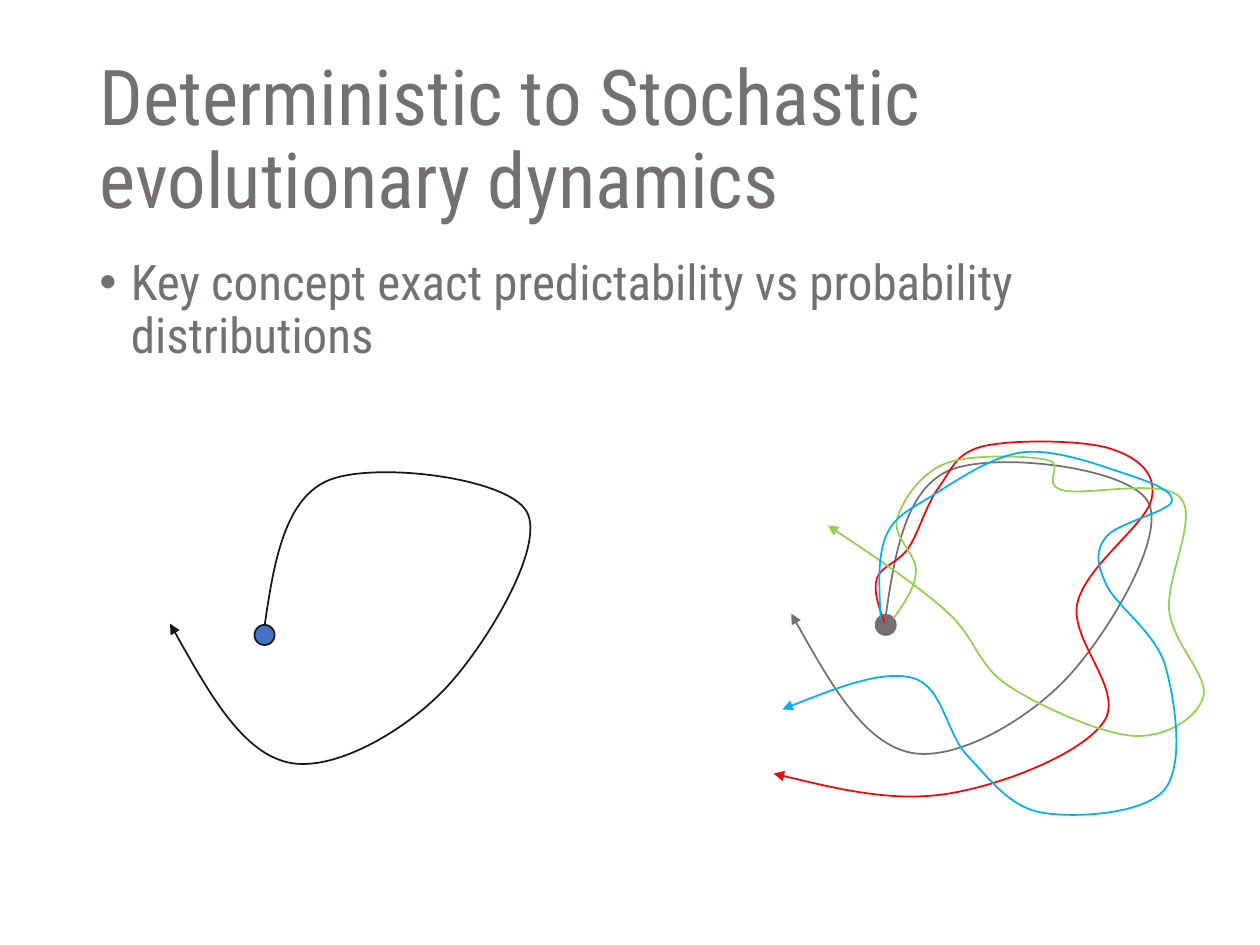
import dataclasses

import lxml.etree
import pptx
import pptx.dml.color
import pptx.enum.shapes
import pptx.enum.text
import pptx.oxml.ns
import pptx.util


@dataclasses.dataclass(frozen=True)
class Theme:
    """Colours, font and sizes of the slide."""
    font: str = "Roboto Condensed"
    grey: str = "757070"
    ink: str = "181717"
    blue: str = "4472C4"
    red: str = "FF0000"
    green: str = "92D050"
    sky: str = "00B0F0"
    title_size: int = 44
    body_size: int = 28
    line_width: int = 1


THEME = Theme()
STEP = pptx.util.Inches(0.01)
DOT_CENTRE = (110, 164)
DOT_SIZE = 16
MAIN_LOOP = [(109, 164), (159, 42), (318, 66), (253, 207), (128, 265), (35, 155)]
RANDOM_PATHS = {
    THEME.red: [(109, 162), (103, 127), (128, 103), (152, 55), (188, 22), (288, 24),
                (321, 64), (262, 147), (283, 241), (159, 298), (21, 282)],
    THEME.green: [(116, 159), (134, 121), (119, 80), (157, 36), (238, 33), (250, 57), (344, 63),
                  (335, 153), (362, 221), (307, 252), (207, 212), (158, 153), (64, 85)],
    THEME.sky: [(106, 159), (110, 94), (146, 62), (219, 27), (300, 44), (337, 66), (285, 94),
                (285, 132), (332, 197), (331, 295), (234, 313), (175, 268), (131, 206), (28, 231)],
}


def rgb(code):
    """Turn a hex code into a colour."""
    return pptx.dml.color.RGBColor.from_string(code)


def add_element(parent, name, **attributes):
    """Append a drawing element with its attributes."""
    values = {key: str(value) for key, value in attributes.items()}
    return lxml.etree.SubElement(parent, pptx.oxml.ns.qn(name), values)


def write_text(shape, text, size):
    """Write one left-aligned run in a wrapped frame and return its paragraph."""
    frame = shape.text_frame
    frame.word_wrap = True
    frame.auto_size = pptx.enum.text.MSO_AUTO_SIZE.NONE
    para = frame.paragraphs[0]
    para.alignment = pptx.enum.text.PP_ALIGN.LEFT
    para.line_spacing = 0.9
    span = para.add_run()
    span.text = text
    span.font.name = THEME.font
    span.font.size = pptx.util.Pt(size)
    span.font.color.rgb = rgb(THEME.grey)
    return para


def place_title(page, box, text):
    """Place the title placeholder in its box."""
    title = page.shapes.title
    title.left, title.top, title.width, title.height = box
    title.text_frame.vertical_anchor = pptx.enum.text.MSO_ANCHOR.MIDDLE
    write_text(title, text, THEME.title_size)


def place_bullet(page, box, text):
    """Place a bulleted statement with a hanging indent."""
    para = write_text(page.shapes.add_textbox(*box), text, THEME.body_size)
    indent = pptx.util.Inches(0.25)
    properties = para._p.get_or_add_pPr()
    properties.set("marL", str(indent))
    properties.set("indent", str(-indent))
    add_element(properties, "a:buFont", typeface="Arial")
    add_element(properties, "a:buChar", char="•")


def spline_handles(points):
    """Return the two control points of every segment of a smooth spline."""
    ends = list(zip(points, points[2:]))
    slopes = [tuple((after - before) / 6 for before, after in zip(*pair)) for pair in ends]
    leaving = [tuple(a + s for a, s in zip(p, slope)) for p, slope in zip(points[1:], slopes)]
    arriving = [tuple(a - s for a, s in zip(p, slope)) for p, slope in zip(points[1:], slopes)]
    first = tuple((a + b) / 2 for a, b in zip(points[0], arriving[0]))
    last = tuple((a + b) / 2 for a, b in zip(points[-1], leaving[-1]))
    return list(zip([first] + leaving, arriving + [last]))


def draw_trajectory(shapes, box, steps, colour):
    """Draw a smooth arrowed curve through grid steps of the box."""
    left, top = box[:2]
    points = [(round(left + x * STEP), round(top + y * STEP)) for x, y in steps]
    builder = shapes.build_freeform(*points[0], scale=1.0)
    builder.add_line_segments(points[1:], close=False)
    curve = builder.convert_to_shape()
    segments = curve._element.xpath(".//a:lnTo")
    for segment, handles in zip(segments, spline_handles(points)):
        segment.tag = pptx.oxml.ns.qn("a:cubicBezTo")
        for position, (x, y) in enumerate(handles):
            handle = add_element(segment, "a:pt", x=round(x - curve.left), y=round(y - curve.top))
            segment.insert(position, handle)
    curve.fill.background()
    curve.line.color.rgb = rgb(colour)
    curve.line.width = pptx.util.Pt(THEME.line_width)
    curve.shadow.inherit = False
    outline = curve._element.spPr.find(pptx.oxml.ns.qn("a:ln"))
    add_element(outline, "a:tailEnd", type="triangle")


def draw_loop(page, box, fill, line):
    """Draw the expected trajectory and its starting dot as a group."""
    shapes = page.shapes.add_group_shape().shapes
    draw_trajectory(shapes, box, MAIN_LOOP, line)
    left, top = (edge + (centre - DOT_SIZE / 2) * STEP for edge, centre in zip(box, DOT_CENTRE))
    size = DOT_SIZE * STEP
    dot = shapes.add_shape(pptx.enum.shapes.MSO_SHAPE.OVAL, round(left), round(top), size, size)
    dot.fill.solid()
    dot.fill.fore_color.rgb = rgb(fill)
    dot.line.color.rgb = rgb(line)
    dot.line.width = pptx.util.Pt(THEME.line_width)
    dot.shadow.inherit = False


def draw_stochastic(page, box):
    """Draw the expected loop with the random trajectories around it."""
    draw_loop(page, box, THEME.grey, THEME.grey)
    for colour, steps in RANDOM_PATHS.items():
        draw_trajectory(page.shapes, box, steps, colour)


def grid_box(*steps):
    """Turn left, top, width and height in grid steps into lengths."""
    return tuple(step * STEP for step in steps)


def main():
    """Build and save the slide."""
    deck = pptx.Presentation()
    deck.slide_width, deck.slide_height = grid_box(1000, 750)
    page = deck.slides.add_slide(deck.slide_layouts.get_by_name("Title Only"))
    place_title(page, grid_box(69, 40, 862, 145),
                "Deterministic to Stochastic evolutionary dynamics")
    place_bullet(page, grid_box(69, 200, 862, 476),
                 "Key concept exact predictability vs probability distributions")
    draw_loop(page, grid_box(100, 340, 400, 400), THEME.blue, THEME.ink)
    draw_stochastic(page, grid_box(593, 332, 400, 400))
    deck.save("out.pptx")


if __name__ == "__main__":
    main()
